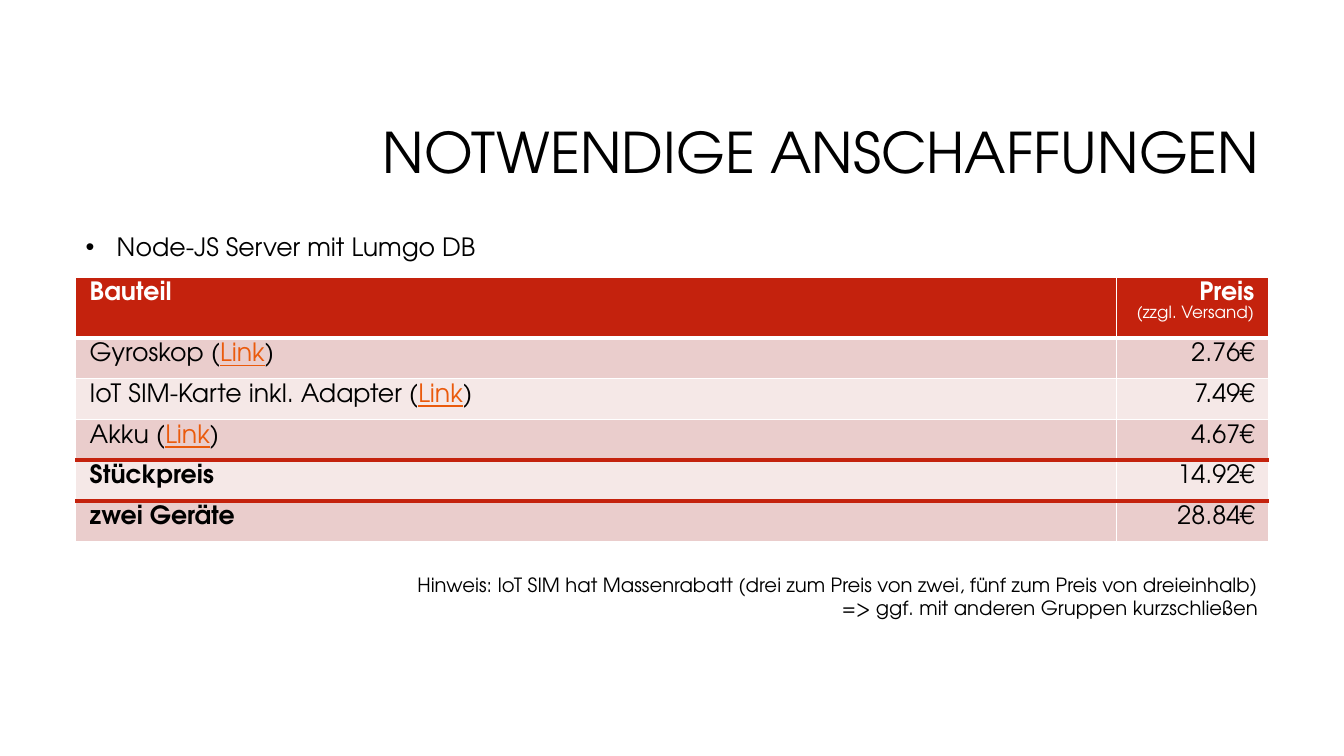
import pptx
import pptx.util
import pptx.dml.color
import pptx.enum.text
import pptx.oxml.ns
from lxml import etree

Inches, Pt = pptx.util.Inches, pptx.util.Pt
RIGHT, LEFT = pptx.enum.text.PP_ALIGN.RIGHT, pptx.enum.text.PP_ALIGN.LEFT
MIDDLE = pptx.enum.text.MSO_ANCHOR.MIDDLE
qn = pptx.oxml.ns.qn

# Content
FONT = "TeX Gyre Adventor"
COLORS = {"black": "000000", "white": "FFFFFF", "red": "C4220D",
          "link": "EA5A0C", "dark": "EACDCC", "light": "F5E8E7"}
TITLE = "NOTWENDIGE ANSCHAFFUNGEN"
BULLET = "Node-JS Server mit Lumgo DB"
HINT = ["Hinweis: IoT SIM hat Massenrabatt (drei zum Preis von zwei, fünf zum Preis von dreieinhalb)",
        "=> ggf. mit anderen Gruppen kurzschließen"]
HEADER = ("Bauteil", "Preis", "(zzgl. Versand)")
PARTS = [("Gyroskop", "2.76€"), ("IoT SIM-Karte inkl. Adapter", "7.49€"), ("Akku", "4.67€")]
TOTALS = [("Stückpreis", "14.92€"), ("zwei Geräte", "28.84€")]
COL_WIDTHS = (10.32, 1.51)
# Horizontal rules from table top to bottom: colour, points
RULES = [("white", 1), ("white", 3), ("white", 1), ("white", 1),
         ("red", 3), ("red", 3), ("white", 1)]


def rgb(name):
    return pptx.dml.color.RGBColor.from_string(COLORS[name])


def write(p, text, size=18, color="black", bold=False, underline=False, align=LEFT):
    p.alignment = align
    r = p.add_run()
    r.text = text
    f = r.font
    f.name, f.size, f.bold, f.underline = FONT, Pt(size), bold, underline
    f.color.rgb = rgb(color)


def text_box(x, y, w, h, wrap=True):
    tf = s.shapes.add_textbox(Inches(x), Inches(y), Inches(w), Inches(h)).text_frame
    tf.word_wrap = wrap
    return tf


def border(cell, side, color, width):
    ln = etree.SubElement(cell._tc.get_or_add_tcPr(), qn("a:ln" + side), w=str(Pt(width)))
    fill = etree.SubElement(ln, qn("a:solidFill"))
    etree.SubElement(fill, qn("a:srgbClr"), val=COLORS[color])


prs = pptx.Presentation()
prs.slide_width, prs.slide_height = Inches(13.33), Inches(7.5)
s = prs.slides.add_slide(prs.slide_layouts[6])

# Title
tf = text_box(3.17, 0.84, 9.42, 1.41)
tf.vertical_anchor = MIDDLE
tf.paragraphs[0].line_spacing = 0.9
write(tf.paragraphs[0], TITLE, size=40, align=RIGHT)

# Price table
n_rows = 1 + len(PARTS) + len(TOTALS)
table = s.shapes.add_table(n_rows, 2, Inches(0.75), Inches(2.75),
                           Inches(11.83), Inches(2.43)).table
for col, width in zip(table.columns, COL_WIDTHS):
    col.width = Inches(width)
for i, row in enumerate(table.rows):
    for cell in row.cells:
        cell.margin_left = cell.margin_right = Inches(0.14)
        cell.margin_top = cell.margin_bottom = Inches(0.05)
        for side, rule in zip("LRTB", (RULES[0], RULES[0], RULES[i], RULES[i + 1])):
            border(cell, side, *rule)
        cell.fill.solid()
        cell.fill.fore_color.rgb = rgb("red" if i == 0 else "dark" if i % 2 else "light")

name, price, note = HEADER
write(table.cell(0, 0).text_frame.paragraphs[0], name, color="white", bold=True)
p = table.cell(0, 1).text_frame.paragraphs[0]
write(p, price, color="white", bold=True, align=RIGHT)
p.add_line_break()
write(p, note, size=12, color="white", align=RIGHT)

for i, (name, price) in enumerate(PARTS + TOTALS, 1):
    p = table.cell(i, 0).text_frame.paragraphs[0]
    if i <= len(PARTS):
        write(p, name + " (")
        write(p, "Link", color="link", underline=True)
        write(p, ")")
    else:
        write(p, name, bold=True)
    write(table.cell(i, 1).text_frame.paragraphs[0], price, align=RIGHT)

# Hint below the table
p = text_box(0.75, 5.63, 11.83, 0.57).paragraphs[0]
write(p, HINT[0], size=14, align=RIGHT)
p.add_line_break()
write(p, HINT[1], size=14, align=RIGHT)

# Bullet above the table
p = text_box(0.75, 2.25, 4.16, 0.4, wrap=False).paragraphs[0]
write(p, BULLET)
pPr = p._p.get_or_add_pPr()
pPr.set("marL", str(Inches(0.31)))
pPr.set("indent", str(-Inches(0.31)))
etree.SubElement(pPr, qn("a:buFont"), typeface="Arial")
etree.SubElement(pPr, qn("a:buChar"), char="•")

prs.save("out.pptx")
